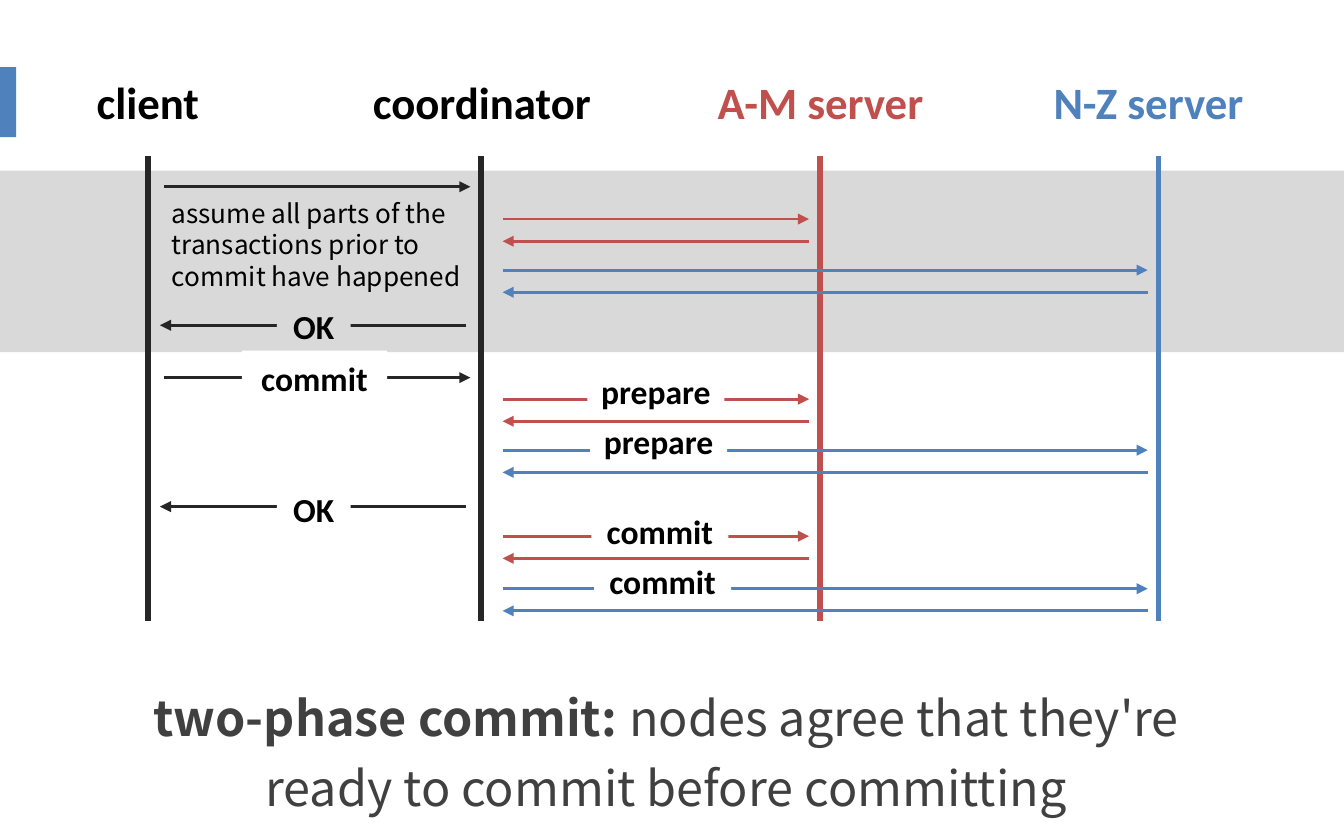
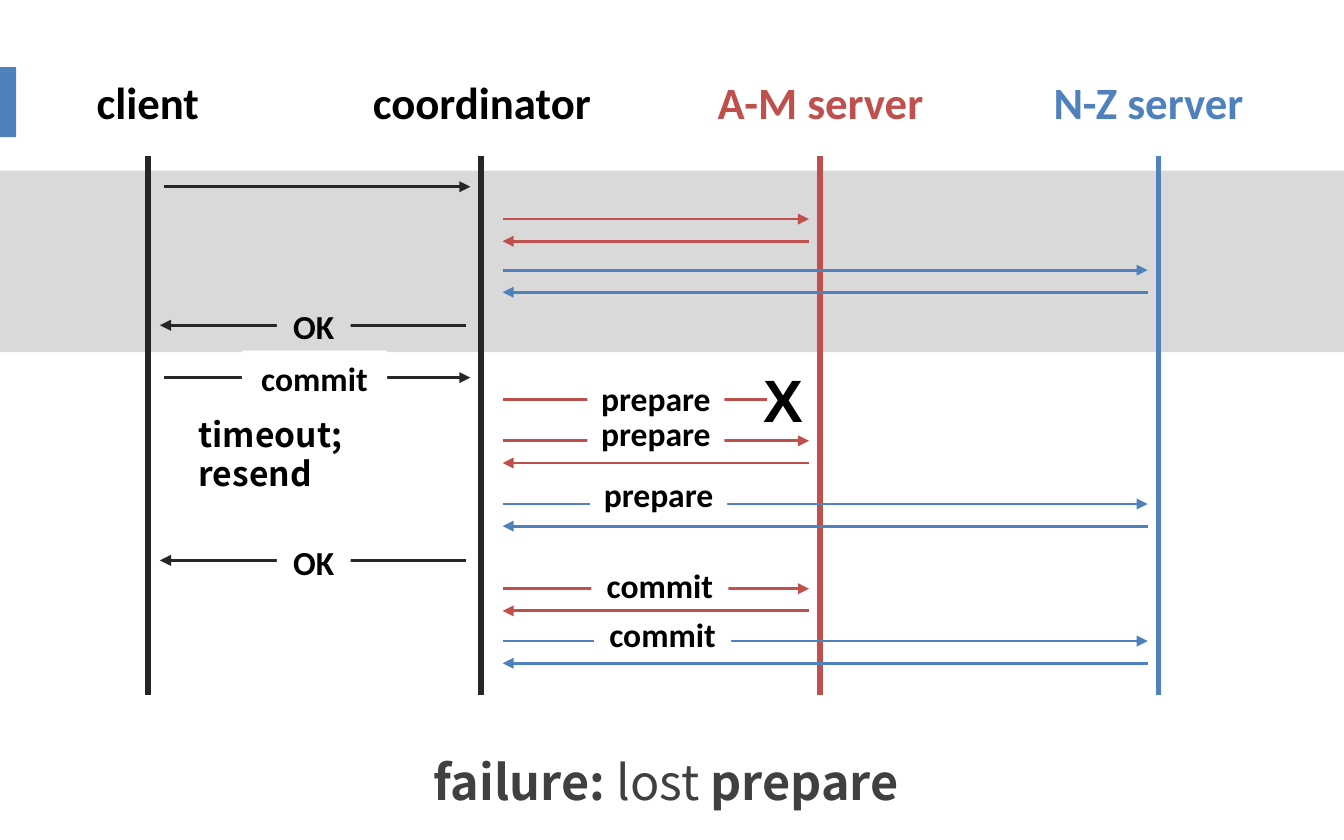
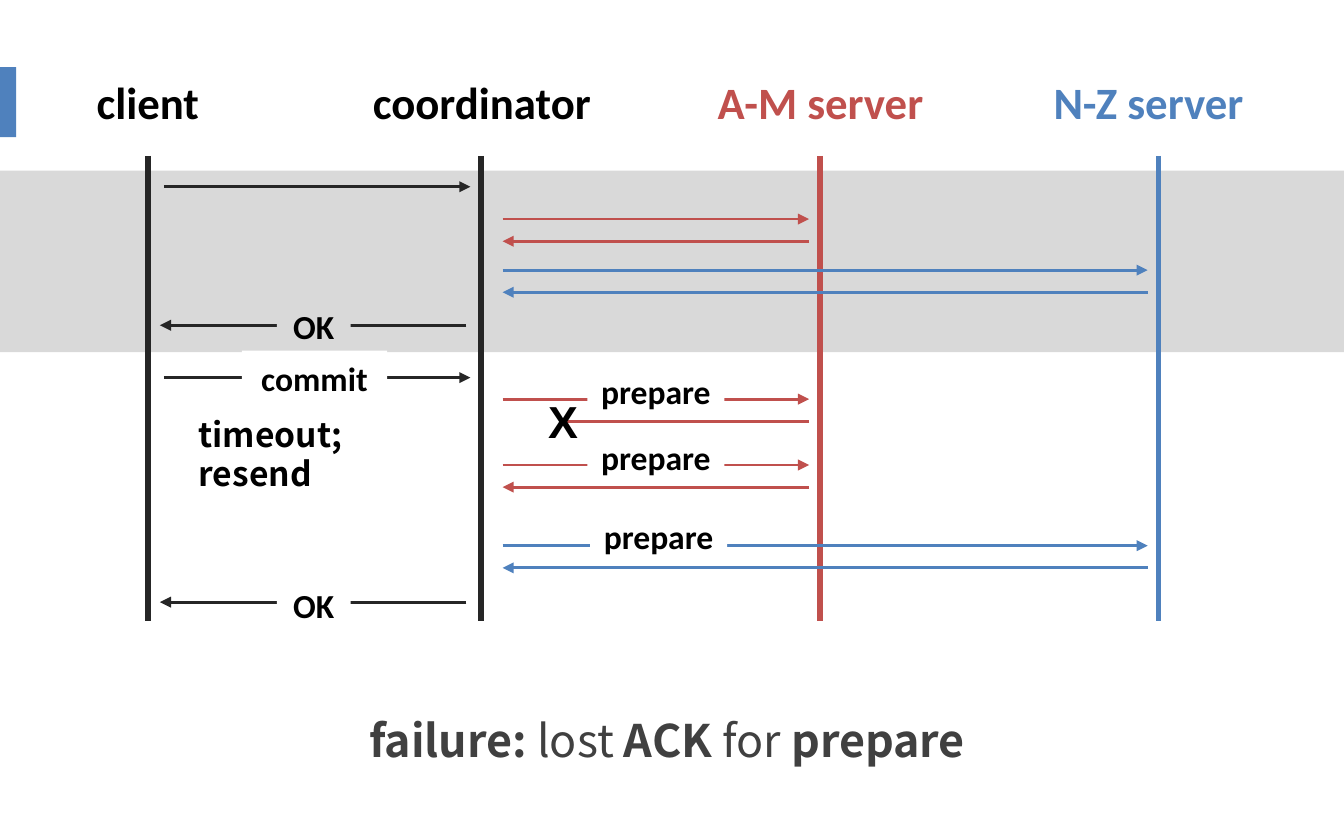
"""Build three sequence diagrams of two-phase commit."""
from dataclasses import dataclass
from lxml import etree
from pptx import Presentation, util as u
from pptx.dml.color import RGBColor
from pptx.enum import shapes, text
from pptx.oxml.ns import qn

WIDTH, HEIGHT = 10, 6.25
BLACK, DARK, GREY, WHITE = "000000", "262626", "D9D9D9", "FFFFFF"
RED, BLUE, CAPTION = "C0504D", "4F81BD", "404040"
HEAD_FONT, BODY_FONT, MARK_FONT = "Calibri", "Noto Sans CJK SC", "Arial"
LANE_TOP, BAND_TOP, BAND_HEIGHT = 1.16, 1.27, 1.35
LABEL_HEIGHT, REPLY_GAP = 0.4, 0.165

# name, lane x, heading centre, heading width, heading colour, lane colour
LANES = [
    ("client", 1.10, 1.10, 1.18, BLACK, DARK),
    ("coordinator", 3.58, 3.585, 2.05, BLACK, DARK),
    ("A-M server", 6.10, 6.105, 2.05, RED, RED),
    ("N-Z server", 8.62, 8.545, 2.05, BLUE, BLUE),
]
CLIENT, COORDINATOR, A_M, N_Z = [lane[1] for lane in LANES]
ROUTES = {
    "request": (CLIENT + 0.12, COORDINATOR - 0.08, DARK),
    "answer": (COORDINATOR - 0.11, CLIENT + 0.09, DARK),
    "A-M": (COORDINATOR + 0.16, A_M - 0.08, RED),
    "N-Z": (COORDINATOR + 0.16, N_Z - 0.08, BLUE),
}
LABEL_BOXES = {
    ("request", "commit"): (1.8, 1.08),
    ("answer", "OK"): (2.06, 0.55),
    ("A-M", "prepare"): (4.37, 1.02),
    ("N-Z", "prepare"): (4.39, 1.02),
    ("A-M", "commit"): (4.4, 1.02),
    ("N-Z", "commit"): (4.42, 1.02),
}


@dataclass
class Message:
    """One arrow, its label and, if it gets lost, where it stops."""
    route: str
    y: float
    label: str = ""
    label_top: float = 0
    label_fill: str = WHITE
    stop: float = 0
    reply: bool = True
    reply_stop: float = 0


@dataclass
class Note:
    """A piece of free text."""
    lines: tuple
    box: tuple
    size: float
    bold: bool = True
    font: str = BODY_FONT
    spacing: float = 0
    wrap: bool = True


PRIOR = [
    Message("request", 1.39),
    Message("A-M", 1.63),
    Message("N-Z", 2.01),
    Message("answer", 2.42, "OK", 2.23, GREY),
    Message("request", 2.81, "commit", 2.61),
]
TIMEOUT = Note(("timeout; resend",), (1.38, 3.03, 1.9, 0.4), 18, spacing=21.4)

SLIDES = [
    {
        "lane_end": 4.62,
        "messages": [
            Message("A-M", 2.97, "prepare", 2.71),
            Message("N-Z", 3.35, "prepare", 3.08),
            Message("answer", 3.77, "OK", 3.59),
            Message("A-M", 3.99, "commit", 3.75),
            Message("N-Z", 4.38, "commit", 4.12),
        ],
        "notes": [Note(("assume all parts of the transactions prior to ", "commit have happened"),
                       (1.18, 1.42, 2.4, 0.81), 14, bold=False, spacing=16.8)],
        "caption": [("two-phase commit: ", True), ("nodes agree that they're ", False),
                    "break", ("ready to commit before committing ", False)],
        "caption_box": (4.95, 1.17), "caption_size": 26, "caption_spacing": 37.5,
    },
    {
        "lane_end": 5.17,
        "messages": [
            Message("A-M", 3.28, "prepare", 3.02),
            Message("A-M", 2.97, "prepare", 2.76, stop=5.71, reply=False),
            Message("N-Z", 3.75, "prepare", 3.48),
            Message("answer", 4.17, "OK", 3.98),
            Message("A-M", 4.38, "commit", 4.15),
            Message("N-Z", 4.77, "commit", 4.52),
        ],
        "notes": [Note(("X ",), (5.58, 2.65, 0.63, 0.64), 32, font=MARK_FONT, wrap=False), TIMEOUT],
        "caption": [("failure: ", True), ("lost", False), (" prepare ", True)],
        "caption_box": (5.43, 0.68), "caption_size": 26, "caption_spacing": 37.5,
    },
    {
        "lane_end": 4.62,
        "messages": [
            Message("A-M", 2.97, "prepare", 2.71, reply_stop=4.21),
            Message("A-M", 3.46, "prepare", 3.2),
            Message("N-Z", 4.06, "prepare", 3.79),
            Message("answer", 4.48, "OK", 4.3),
        ],
        "notes": [Note(("X ",), (3.98, 2.88, 0.52, 0.5), 24, font=MARK_FONT, wrap=False), TIMEOUT],
        "caption": [("failure: ", True), ("lost ", False), ("ACK ", True),
                    ("for", False), (" prepare ", True)],
        "caption_box": (5.22, 0.68), "caption_size": 24, "caption_spacing": 28.8,
    },
]


def color(value):
    return RGBColor.from_string(value)


def inches(*lengths):
    return [u.Inches(length) for length in lengths]


def style(paragraph, size, font, fill, bold=None, align=None, spacing=0):
    paragraph.font.size = u.Pt(size)
    paragraph.font.name = font
    paragraph.font.bold = bold
    paragraph.font.color.rgb = color(fill)
    paragraph.alignment = align
    if spacing:
        paragraph.line_spacing = u.Pt(spacing)


def add_rectangle(slide, box, fill):
    shape = slide.shapes.add_shape(shapes.MSO_SHAPE.RECTANGLE, *inches(*box))
    shape.shadow.inherit = False
    shape.fill.solid()
    shape.fill.fore_color.rgb = color(fill)
    shape.line.fill.background()
    return shape


def add_line(slide, start, end, fill, width, arrow=False):
    line = slide.shapes.add_connector(shapes.MSO_CONNECTOR.STRAIGHT, *inches(*start, *end))
    line.line.color.rgb = color(fill)
    line.line.width = u.Pt(width)
    if arrow:
        etree.SubElement(line.line._get_or_add_ln(), qn("a:tailEnd"), type="triangle")
    etree.SubElement(line.element.spPr, qn("a:effectLst"))


def add_note(slide, note, fill=BLACK, align=text.PP_ALIGN.LEFT):
    frame = slide.shapes.add_textbox(*inches(*note.box)).text_frame
    frame.word_wrap = note.wrap
    frame.text = "\n".join(note.lines)
    for paragraph in frame.paragraphs:
        style(paragraph, note.size, note.font, fill, note.bold, align, note.spacing)


def add_lanes(slide, end):
    for name, x, center, width, name_color, lane_color in LANES:
        add_line(slide, (x, LANE_TOP), (x, end), lane_color, 3)
        heading = Note((name,), (center - width / 2, 0.51, width, 0.5), 24, font=HEAD_FONT)
        add_note(slide, heading, name_color, text.PP_ALIGN.CENTER)


def add_label(slide, message):
    left, width = LABEL_BOXES[message.route, message.label]
    box = (left, message.label_top, width, LABEL_HEIGHT)
    frame = add_rectangle(slide, box, message.label_fill).text_frame
    frame.margin_left = frame.margin_right = 0
    frame.text = message.label
    style(frame.paragraphs[0], 18, HEAD_FONT, BLACK, True, text.PP_ALIGN.CENTER)


def add_messages(slide, messages):
    for message in messages:
        start, end, fill = ROUTES[message.route]
        add_line(slide, (start, message.y), (message.stop or end, message.y),
                 fill, 1.5, not message.stop)
        if message.label:
            add_label(slide, message)
    for message in messages:
        if message.reply and message.route in ("A-M", "N-Z"):
            end, start, fill = ROUTES[message.route]
            y = message.y + REPLY_GAP
            add_line(slide, (start, y), (message.reply_stop or end, y),
                     fill, 1.5, not message.reply_stop)


def add_caption(slide, content):
    title = slide.shapes.title
    top, height = content["caption_box"]
    title.left, title.top, title.width, title.height = inches(
        WIDTH * 0.05, top, WIDTH * 0.9, height)
    frame = title.text_frame
    frame.word_wrap = True
    frame.auto_size = text.MSO_AUTO_SIZE.NONE
    frame.vertical_anchor = text.MSO_ANCHOR.TOP
    frame.margin_top = u.Inches(0.08)
    paragraph = frame.paragraphs[0]
    style(paragraph, content["caption_size"], BODY_FONT, CAPTION,
          align=text.PP_ALIGN.CENTER, spacing=content["caption_spacing"])
    for part in content["caption"]:
        if part == "break":
            paragraph.add_line_break()
            continue
        run = paragraph.add_run()
        run.text, run.font.bold = part


def build():
    presentation = Presentation()
    presentation.slide_width, presentation.slide_height = inches(WIDTH, HEIGHT)
    for content in SLIDES:
        slide = presentation.slides.add_slide(presentation.slide_layouts[5])
        add_rectangle(slide, (-0.06, 0.5, 0.18, 0.52), BLUE)
        add_rectangle(slide, (0, BAND_TOP, WIDTH, BAND_HEIGHT), GREY)
        add_lanes(slide, content["lane_end"])
        add_messages(slide, PRIOR + content["messages"])
        for note in content["notes"]:
            add_note(slide, note)
        add_caption(slide, content)
    presentation.save("out.pptx")


build()
